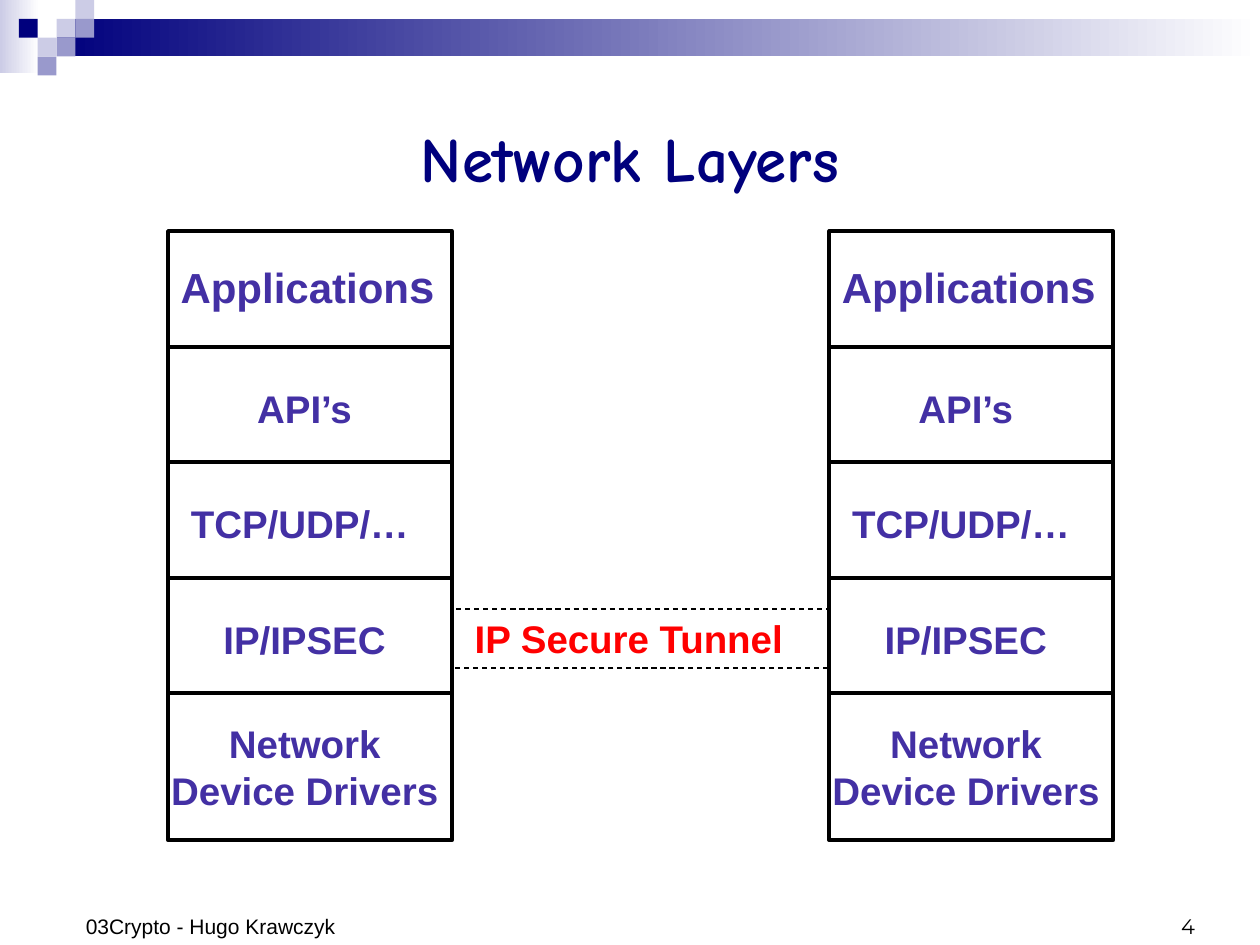
from pptx import Presentation
from pptx.dml.color import RGBColor
from pptx.enum.dml import MSO_LINE
from pptx.enum.shapes import MSO_SHAPE
from pptx.enum.text import MSO_ANCHOR, PP_ALIGN
from pptx.util import Cm, Pt

RECTANGLE = MSO_SHAPE.RECTANGLE
DASH = MSO_LINE.DASH
TOP, MIDDLE, BOTTOM = MSO_ANCHOR.TOP, MSO_ANCHOR.MIDDLE, MSO_ANCHOR.BOTTOM
LEFT, CENTER, RIGHT = PP_ALIGN.LEFT, PP_ALIGN.CENTER, PP_ALIGN.RIGHT

NAVY, LAVENDER, PERIWINKLE = "00007D", "CCCCE6", "9999CC"
VIOLET, RED, BLACK, WHITE = "4330A4", "FF0000", "000000", "FFFFFF"

LAYER_HEIGHT = 2.33
LAYERS = [
    ("API’s", CENTER, (0, 0.64, 5.5, 1.19)),
    ("TCP/UDP/…", LEFT, (0.21, 0.64, 5.08, 1.19)),
    ("IP/IPSEC", CENTER, (0, 0.64, 5.5, 1.19)),
    ("Network Device Drivers", CENTER, (-0.21, 0.42, 5.93, 2.13)),
]
MOSAIC = [
    (3, 1, LAVENDER), (4, 0, LAVENDER), (4, 1, PERIWINKLE), (2, 2, LAVENDER),
    (1, 1, NAVY), (3, 2, PERIWINKLE), (2, 3, PERIWINKLE),
]


def rgb(value):
    return RGBColor.from_string(value)


def add_rectangle(slide, box, fill=None, line=None, weight=2.25):
    rectangle = slide.shapes.add_shape(RECTANGLE, *map(Cm, box))
    rectangle.shadow.inherit = False
    if fill:
        rectangle.fill.solid()
        rectangle.fill.fore_color.rgb = rgb(fill)
    else:
        rectangle.fill.background()
    if line:
        rectangle.line.color.rgb = rgb(line)
        rectangle.line.width = Pt(weight)
    else:
        rectangle.line.fill.background()
    return rectangle


def add_fade(slide, box, color):
    fade = add_rectangle(slide, box)
    fade.fill.gradient()
    fade.fill.gradient_angle = 180
    for stop, value in zip(fade.fill.gradient_stops, (WHITE, color)):
        stop.color.rgb = rgb(value)


def write(holder, text, size, color, align=LEFT, anchor=TOP, bold=False, font="Arial"):
    frame = holder.text_frame
    frame.word_wrap = True
    frame.vertical_anchor = anchor
    paragraph = frame.paragraphs[0]
    paragraph.text = text
    paragraph.alignment = align
    paragraph.font.name = font
    paragraph.font.size = Pt(size)
    paragraph.font.bold = bold
    paragraph.font.color.rgb = rgb(color)
    return paragraph


def add_label(slide, box, text, size, color, **style):
    label = slide.shapes.add_textbox(*map(Cm, box))
    return write(label, text, size, color, **style)


def add_banner(slide, left, top, width):
    unit = 0.38
    add_fade(slide, (left, top, 0.79, 1.47), LAVENDER)
    add_fade(slide, (left + 3 * unit, top + unit, width - 3 * unit, 2 * unit), NAVY)
    for column, row, color in MOSAIC:
        add_rectangle(slide, (left + column * unit, top + row * unit, unit, unit), color)


def add_stack(slide, left, top, width, height):
    last = len(LAYERS)
    for index in range(last + 1):
        offset = index * LAYER_HEIGHT
        layer_height = height - offset if index == last else LAYER_HEIGHT
        add_rectangle(slide, (left, top + offset, width, layer_height), line=BLACK)
    applications = add_label(slide, (left, top + 0.42, width, 1.37), "Application",
                             24, VIOLET, bold=True)
    plural = applications.add_run()
    plural.text = "s"
    plural.font.size = Pt(26)
    for index, (name, align, (dx, dy, label_width, label_height)) in enumerate(LAYERS, 1):
        box = (left + dx, top + index * LAYER_HEIGHT + dy, label_width, label_height)
        add_label(slide, box, name, 22, VIOLET, align=align, bold=True)


def add_tunnel(slide, left, top, width, height):
    tunnel = add_rectangle(slide, (left, top, width, height), line=BLACK, weight=0.75)
    tunnel.line.dash_style = DASH
    write(tunnel, "IP Secure Tunnel", 22, RED, bold=True)
    tunnel.text_frame.margin_left = Cm(0.47)


def add_footer(slide, left, top, width, height):
    box_width = 5.92
    add_label(slide, (left, top, box_width, height), "03Crypto - Hugo Krawczyk",
              12, BLACK, anchor=BOTTOM)
    add_label(slide, (left + width - box_width, top, box_width, height), "4",
              12, BLACK, align=RIGHT, anchor=BOTTOM, font="Montserrat")


def main():
    deck = Presentation()
    deck.slide_width, deck.slide_height = Cm(25.4), Cm(19.05)
    slide = deck.slides.add_slide(deck.slide_layouts[6])
    add_banner(slide, 0, 0, 25.4)
    add_label(slide, (1.27, 1.27, 22.86, 3.81), "Network Layers", 36, NAVY,
              align=CENTER, anchor=MIDDLE, bold=True, font="Comic Neue")
    for left in (3.39, 16.72):
        add_stack(slide, left, 4.66, 5.72, 12.28)
    add_tunnel(slide, 9.1, 12.28, 7.62, 1.19)
    add_footer(slide, 1.48, 17.75, 22.86, 1.3)
    deck.save("out.pptx")


if __name__ == "__main__":
    main()
